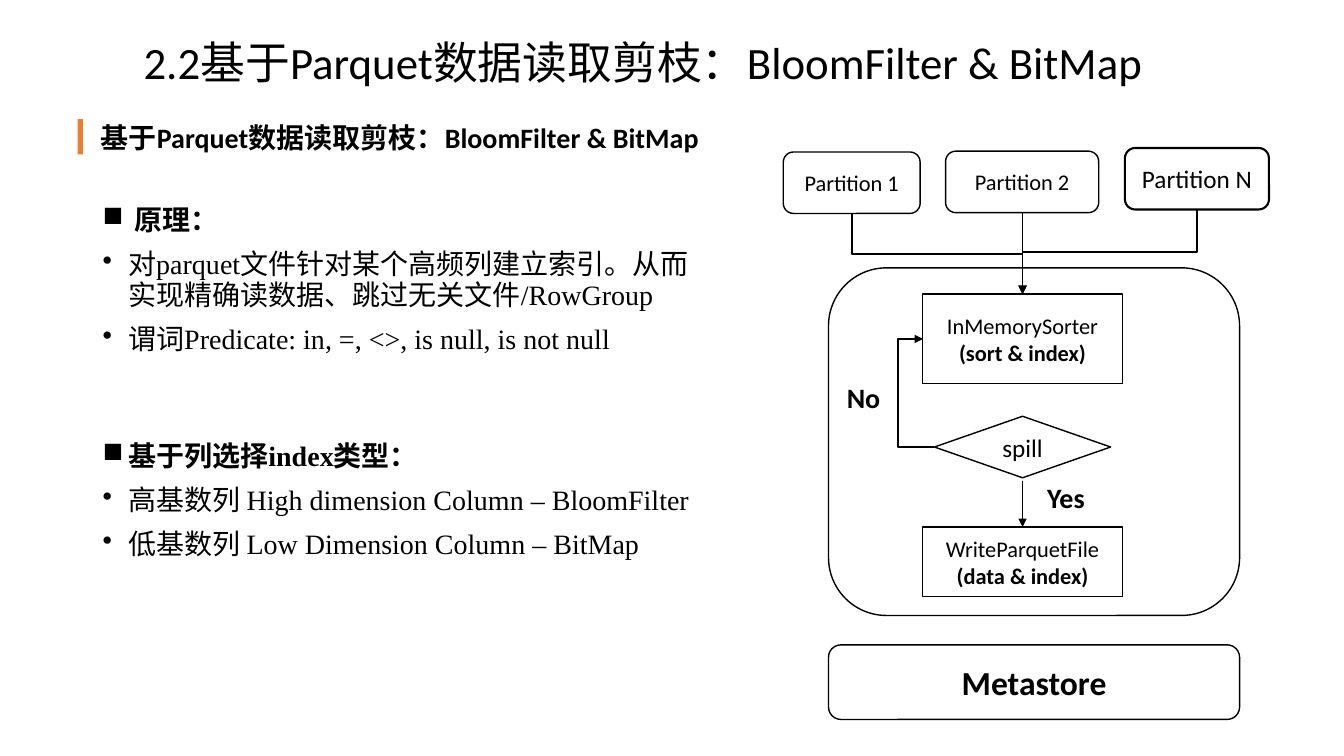
from math import cos, radians, sin

from lxml.etree import SubElement
from pptx import Presentation
from pptx.dml.color import RGBColor
from pptx.enum.shapes import MSO_CONNECTOR, MSO_SHAPE
from pptx.enum.text import MSO_ANCHOR, PP_ALIGN
from pptx.oxml.ns import qn
from pptx.util import Cm, Pt

BLACK = RGBColor(0x00, 0x00, 0x00)
WHITE = RGBColor(0xFF, 0xFF, 0xFF)
ORANGE = RGBColor(0xED, 0x7D, 0x31)
HEADING = "基于Parquet数据读取剪枝：BloomFilter & BitMap"


def write(paragraph, text, size=20, bold=False, font="Calibri", align=PP_ALIGN.LEFT):
    run = paragraph.add_run()
    run.text = text
    run.font.size, run.font.bold, run.font.name = Pt(size), bold, font
    run.font.color.rgb = BLACK
    paragraph.alignment = align


def add_label(slide, left, top, width, height, text, **style):
    label = slide.shapes.add_textbox(Cm(left), Cm(top), Cm(width), Cm(height))
    label.text_frame.word_wrap = True
    write(label.text_frame.paragraphs[0], text, **style)


def add_node(slide, kind, left, top, width, height, lines=(), size=16, weight=1,
             fill=WHITE, border=BLACK):
    """Draw an outlined shape; lines holds (text, bold) pairs."""
    node = slide.shapes.add_shape(kind, Cm(left), Cm(top), Cm(width), Cm(height))
    node.shadow.inherit = False
    node.fill.solid()
    node.fill.fore_color.rgb = fill
    if border is None:
        node.line.fill.background()
    else:
        node.line.color.rgb = border
        node.line.width = Pt(weight)
    frame = node.text_frame
    frame.word_wrap, frame.vertical_anchor = True, MSO_ANCHOR.MIDDLE
    for index, (text, bold) in enumerate(lines):
        paragraph = frame.add_paragraph() if index else frame.paragraphs[0]
        write(paragraph, text, size=size, bold=bold, align=PP_ALIGN.CENTER)


def add_arrow(slide, start, end, kind=MSO_CONNECTOR.STRAIGHT, turn=0, bend=None):
    """Join two points; turn rotates the elbow so that it leaves in that direction."""
    mid_x, mid_y = (start[0] + end[0]) / 2, (start[1] + end[1]) / 2
    c, s = round(cos(radians(turn))), round(sin(radians(turn)))
    corners = []
    for x, y in (start, end):
        dx, dy = x - mid_x, y - mid_y
        corners += [Cm(mid_x + c * dx + s * dy), Cm(mid_y - s * dx + c * dy)]
    arrow = slide.shapes.add_connector(kind, *corners)
    arrow.line.color.rgb = BLACK
    arrow.line.width = Pt(1.25)
    properties = arrow._element.spPr
    if turn:
        properties.find(qn("a:xfrm")).set("rot", str(turn * 60000))
    if bend is not None:
        guides = properties.find(qn("a:prstGeom")).find(qn("a:avLst"))
        SubElement(guides, qn("a:gd"), name="adj1", fmla=f"val {round(bend * 100000)}")
    SubElement(arrow.line._get_or_add_ln(), qn("a:tailEnd"), type="triangle")
    SubElement(properties, qn("a:effectLst"))


def add_headings(slide, left, top):
    add_label(slide, left, top, 31.55, 3, "2.2" + HEADING, size=32, align=PP_ALIGN.CENTER)
    # Subheading with its accent bar
    add_node(slide, MSO_SHAPE.RECTANGLE, left + 1.53, top + 2.24, 0.13, 0.89,
             fill=ORANGE, border=None)
    add_label(slide, left + 1.86, top + 2.16, 16.79, 1.12, HEADING, bold=True)


def add_explanation(slide, left, top, width, height):
    # Text, indent, space before in points, section heading
    items = [
        ("原理：", 0.79, 10, True),
        ("对parquet文件针对某个高频列建立索引。从而实现精确读数据、跳过无关文件/RowGroup",
         0.64, 10, False),
        ("谓词Predicate: in, =, <>, is null, is not null", 0.64, 10, False),
        ("基于列选择index类型：", 0.64, 62, True),
        ("高基数列 High dimension Column – BloomFilter", 0.64, 10, False),
        ("低基数列 Low Dimension Column – BitMap", 0.64, 10, False),
    ]
    body = slide.shapes.add_textbox(Cm(left), Cm(top), Cm(width), Cm(height))
    frame = body.text_frame
    frame.word_wrap = True
    for index, (text, indent, gap, is_heading) in enumerate(items):
        paragraph = frame.add_paragraph() if index else frame.paragraphs[0]
        write(paragraph, text, bold=is_heading, font="Times New Roman")
        paragraph.line_spacing, paragraph.space_before = 0.9, Pt(gap)
        settings = paragraph._p.get_or_add_pPr()
        settings.set("marL", str(Cm(indent)))
        settings.set("indent", str(-Cm(indent)))
        SubElement(settings, qn("a:buChar"), char="■" if is_heading else "•")


def add_index_flow(slide, left, top):
    axis = left + 6.03
    frame_left, frame_width = left + 1.14, 10.36
    rounded, box = MSO_SHAPE.ROUNDED_RECTANGLE, MSO_SHAPE.RECTANGLE

    # Writer frame and metastore
    add_node(slide, rounded, frame_left, top + 3.02, frame_width, 8.76)
    add_node(slide, rounded, frame_left, top + 12.52, frame_width, 1.88,
             [("Metastore", True)], size=24)

    # Partitions feeding the sorter
    sorter_top = top + 3.68
    partitions = [("Partition 1", 0, 0.1, 3.45, 16, 1),
                  ("Partition 2", 4.09, 0.08, 3.86, 16, 1),
                  ("Partition N", 8.61, 0, 3.63, 18, 1.5)]
    for name, x, y, width, size, weight in partitions:
        add_node(slide, rounded, left + x, top + y, width, 1.55, [(name, False)],
                 size=size, weight=weight)
        center = left + x + width / 2
        straight = abs(center - axis) < 0.1
        add_arrow(slide, (axis if straight else center, top + y + 1.55), (axis, sorter_top),
                  MSO_CONNECTOR.STRAIGHT if straight else MSO_CONNECTOR.ELBOW,
                  turn=0 if straight else 90)

    # Steps centred on the axis
    steps = [(box, 3.68, 5.03, 2.26, [("InMemorySorter", False), ("(sort & index)", True)], 16),
             (MSO_SHAPE.FLOWCHART_DECISION, 6.76, 4.44, 1.55, [("spill", False)], 18),
             (box, 9.55, 5.03, 1.75, [("WriteParquetFile", False), ("(data & index)", True)], 16)]
    for kind, y, width, height, lines, size in steps:
        add_node(slide, kind, axis - width / 2, top + y, width, height, lines, size=size)

    # Spill outcomes
    add_arrow(slide, (axis - 2.22, top + 7.53), (axis - 2.51, top + 4.81),
              MSO_CONNECTOR.ELBOW, turn=180, bend=3.2)
    add_arrow(slide, (axis, top + 8.38), (axis, top + 9.55))
    for outcome, x, y in (("Yes", 6.4, 8.26), ("No", 1.35, 5.74)):
        add_label(slide, left + x, top + y, 3.99, 1.12, outcome, bold=True)


presentation = Presentation()
presentation.slide_width, presentation.slide_height = Cm(33.87), Cm(19.05)
slide = presentation.slides.add_slide(presentation.slide_layouts[6])
add_explanation(slide, 2.34, 5.08, 15.82, 12.09)
add_index_flow(slide, 19.74, 3.73)
add_headings(slide, 0.43, 0.76)
presentation.save("out.pptx")
